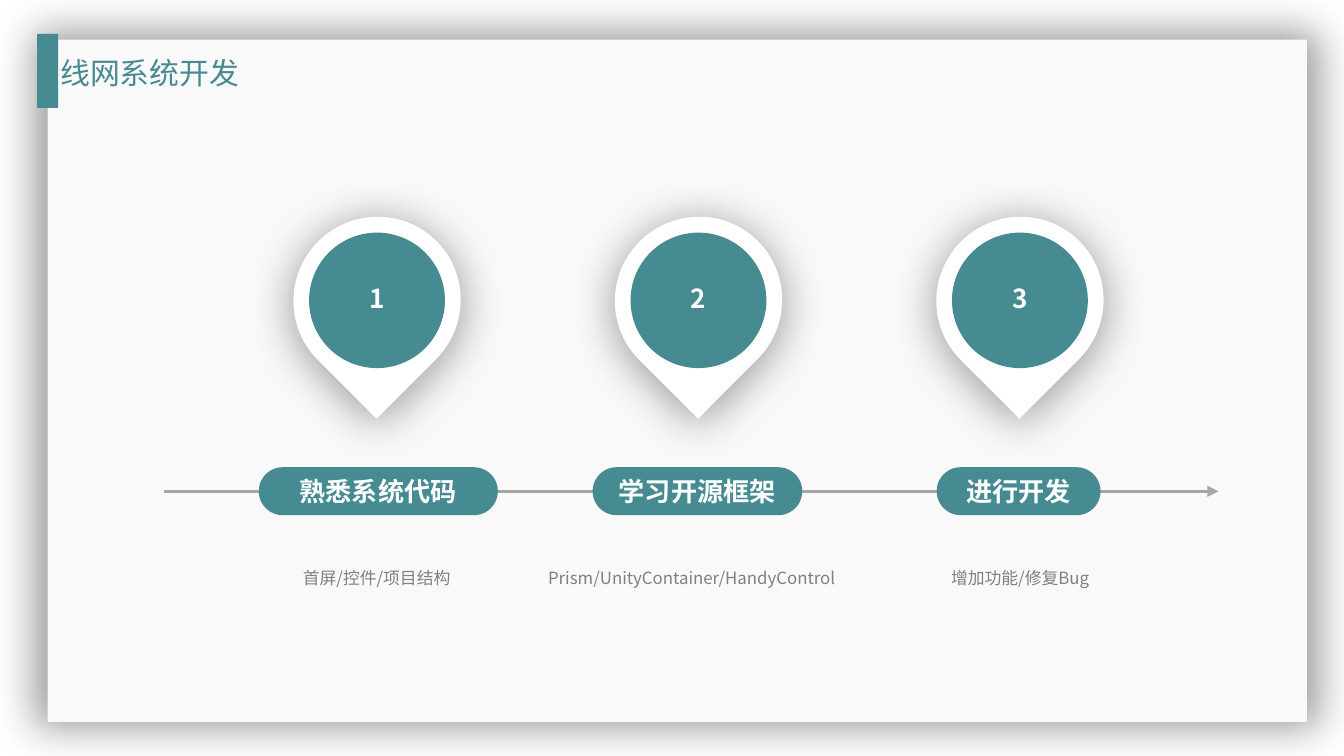
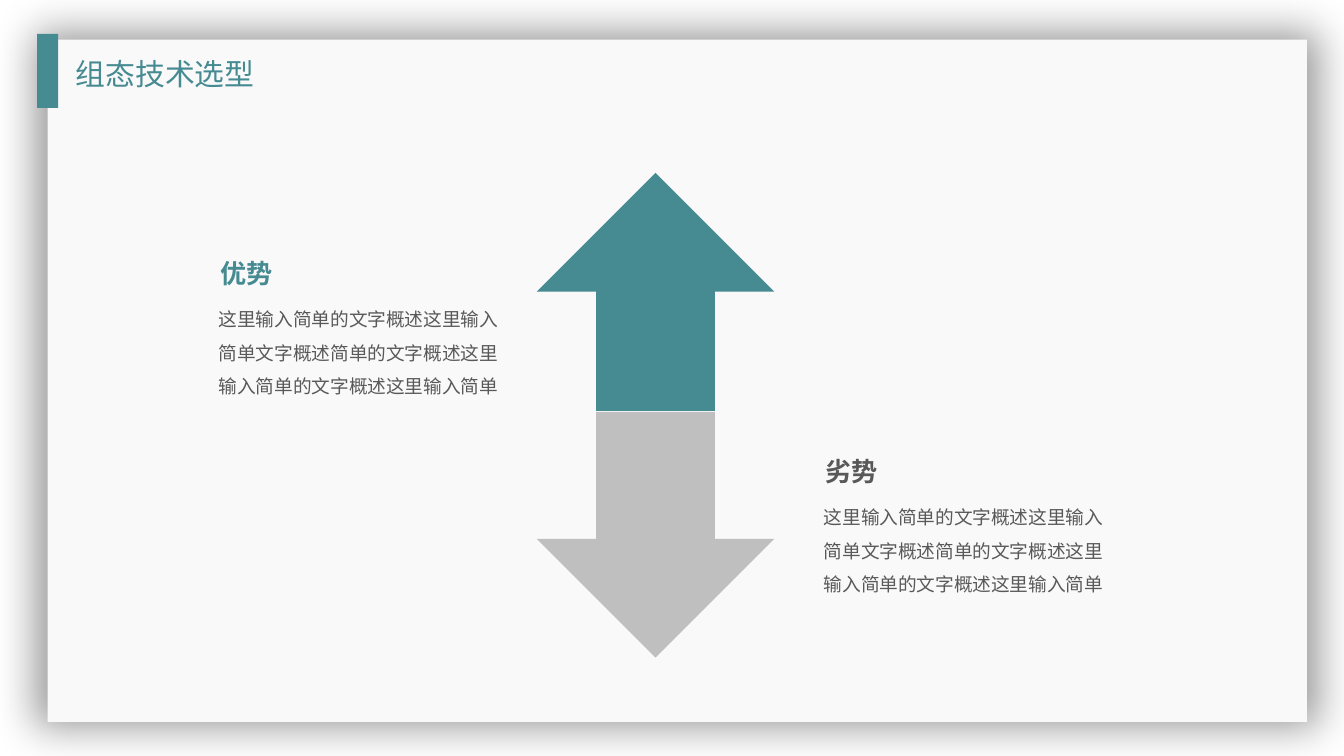
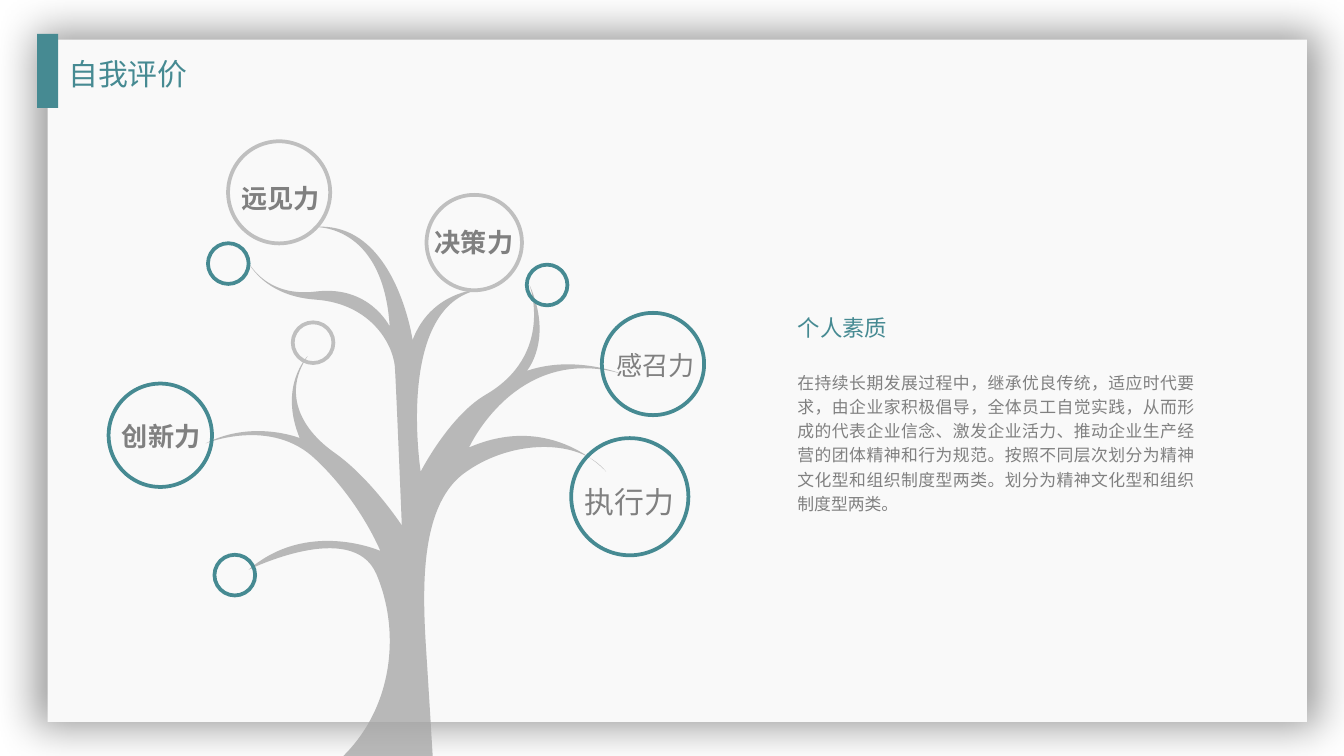
from dataclasses import dataclass
from typing import Optional, Union

from lxml.etree import SubElement
from pptx import Presentation
from pptx.dml.color import RGBColor
from pptx.enum.shapes import MSO_CONNECTOR, MSO_SHAPE
from pptx.enum.text import MSO_ANCHOR, MSO_AUTO_SIZE, PP_ALIGN
from pptx.oxml.ns import qn
from pptx.presentation import Presentation as Deck
from pptx.shapes.autoshape import Shape
from pptx.shapes.shapetree import GroupShapes, SlideShapes
from pptx.slide import Slide
from pptx.text.text import TextFrame
from pptx.util import Pt

Shapes = Union[SlideShapes, GroupShapes]

# Shared look
FONT = "Noto Sans CJK SC"
TEAL = RGBColor(0x46, 0x8A, 0x92)
CARD = RGBColor(0xF9, 0xF9, 0xF9)
WHITE = RGBColor(0xFF, 0xFF, 0xFF)
SILVER = RGBColor(0xBF, 0xBF, 0xBF)
BRANCH = RGBColor(0xA6, 0xA6, 0xA6)
GREY = RGBColor(0x80, 0x80, 0x80)
DARK = RGBColor(0x59, 0x59, 0x59)
NARROW = (5.4, 2.7)
WIDE = (7.2, 3.6)
TITLE_INSET = (6, 3)


@dataclass(frozen=True)
class Area:
    left: float
    top: float
    width: float
    height: float

    def lengths(self) -> tuple[Pt, Pt, Pt, Pt]:
        return Pt(self.left), Pt(self.top), Pt(self.width), Pt(self.height)


@dataclass(frozen=True)
class Style:
    size: float
    color: RGBColor
    bold: bool = False
    align: PP_ALIGN = PP_ALIGN.LEFT
    spacing: Optional[float] = None


@dataclass(frozen=True)
class Stage:
    name: str
    pill_left: float
    pill_width: float
    caption: str
    caption_left: float
    caption_width: float
    caption_align: PP_ALIGN = PP_ALIGN.CENTER


@dataclass(frozen=True)
class Side:
    heading: str
    color: RGBColor
    left: float
    top: float


@dataclass(frozen=True)
class Fruit:
    circle: Area
    line: RGBColor
    label: str
    label_left: float
    label_top: float
    size: float = 14
    bold: bool = True


@dataclass(frozen=True)
class Bud:
    left: float
    top: float
    line: RGBColor


PILL_TEXT = Style(14, WHITE, True, PP_ALIGN.CENTER)

STAGES = [
    Stage("熟悉系统代码", 138.6, 128.1, "首屏/控件/项目结构", 126.2, 151.2),
    Stage("学习开源框架", 317.5, 112.3, "Prism/UnityContainer/HandyControl",
          288.2, 172.1, PP_ALIGN.LEFT),
    Stage("进行开发", 501.8, 87.8, "增加功能/修复Bug", 490.3, 112.3),
]

SIDES = [Side("优势", TEAL, 111.8, 135.1), Side("劣势", DARK, 436, 241.2)]
SIDE_TEXT = "这里输入简单的文字概述这里输入简单文字概述简单的文字概述这里输入简单的文字概述这里输入简单"

QUALITY_TEXT = (
    "在持续长期发展过程中，继承优良传统，适应时代要求，由企业家积极倡导，全体员工自觉实践，"
    "从而形成的代表企业信念、激发企业活力、推动企业生产经营的团体精神和行为规范。"
    "按照不同层次划分为精神文化型和组织制度型两类。划分为精神文化型和组织制度型两类。"
)

FRUITS = [
    Fruit(Area(306, 234.7, 62.8, 62.8), TEAL, "执行力", 306.2, 255.6, 16, False),
    Fruit(Area(58.2, 205.5, 55.4, 55.4), TEAL, "创新力", 58.2, 221.8),
    Fruit(Area(322.4, 167.6, 54.8, 54.8), TEAL, "感召力", 323.1, 183.6, bold=False),
    Fruit(Area(228.5, 104.4, 51.1, 51.1), SILVER, "决策力", 225.8, 117.8),
    Fruit(Area(122.2, 75.7, 54.7, 54.7), SILVER, "远见力", 122.2, 94.3),
]

BUDS = [Bud(111.4, 130.3, TEAL), Bud(156.8, 172.7, SILVER),
        Bud(282.2, 141.8, TEAL), Bud(114.9, 297.2, TEAL)]

# Tree outline: start, then two control points and an end for each curve
TREE_UNIT = 0.72
TREE_START = (255, 563)
TREE_CURVES = [
    (322, 563, 322, 563, 322, 563), (322, 563, 320, 530, 317, 482),
    (314, 435, 313, 374, 347, 351), (381, 327, 431, 326, 451, 351),
    (451, 351, 411, 306, 349, 333), (349, 333, 384, 256, 462, 278),
    (462, 278, 427, 264, 392, 276), (392, 276, 412, 253, 394, 212),
    (394, 212, 413, 264, 361, 294), (334, 310, 313, 351, 313, 351),
    (313, 351, 293, 222, 361, 215), (361, 215, 322, 214, 307, 253),
    (307, 253, 294, 163, 233, 169), (233, 169, 285, 165, 290, 243),
    (290, 243, 275, 212, 235, 217), (194, 222, 182, 190, 182, 190),
    (182, 190, 192, 220, 235, 223), (277, 226, 294, 258, 294, 276),
    (295, 293, 299, 391, 299, 391), (299, 391, 276, 356, 249, 337),
    (222, 318, 211, 291, 229, 265), (229, 265, 207, 287, 223, 326),
    (223, 326, 188, 312, 153, 330), (153, 330, 202, 310, 235, 342),
    (268, 373, 283, 410, 283, 410), (283, 410, 229, 386, 185, 424),
    (185, 424, 262, 386, 280, 427), (298, 469, 293, 526, 255, 563),
]


def write(frame: TextFrame, text: str, style: Style, inset: tuple[float, float]) -> None:
    frame.margin_left = frame.margin_right = Pt(inset[0])
    frame.margin_top = frame.margin_bottom = Pt(inset[1])
    para = frame.paragraphs[0]
    para.alignment = style.align
    if style.spacing:
        para.line_spacing = style.spacing
    span = para.add_run()
    span.text = text
    font = span.font
    font.size, font.bold, font.name = Pt(style.size), style.bold, FONT
    font.color.rgb = style.color
    SubElement(span._r.get_or_add_rPr(), qn("a:ea")).set("typeface", FONT)


def add_text(shapes: Shapes, area: Area, text: str, style: Style,
             inset: tuple[float, float] = NARROW, wrap: bool = True) -> None:
    frame = shapes.add_textbox(*area.lengths()).text_frame
    frame.word_wrap = wrap
    frame.auto_size = MSO_AUTO_SIZE.SHAPE_TO_FIT_TEXT
    write(frame, text, style, inset)


def add_filled(shapes: Shapes, kind: MSO_SHAPE, area: Area, color: RGBColor) -> Shape:
    shape = shapes.add_shape(kind, *area.lengths())
    shape.shadow.inherit = False
    shape.fill.solid()
    shape.fill.fore_color.rgb = color
    shape.line.fill.background()
    return shape


def add_ring(shapes: Shapes, area: Area, color: RGBColor) -> None:
    ring = shapes.add_shape(MSO_SHAPE.OVAL, *area.lengths())
    ring.shadow.inherit = False
    ring.fill.background()
    ring.line.color.rgb = color
    ring.line.width = Pt(2)


def add_shadow(shape: Shape, blur: float, distance: float, degrees: int,
               percent: int = 100) -> None:
    effects = shape._element.spPr.find(qn("a:effectLst"))
    scale = str(percent * 1000)
    shadow = SubElement(effects, qn("a:outerShdw"), blurRad=str(Pt(blur)),
                        dist=str(Pt(distance)), dir=str(degrees * 60000),
                        sx=scale, sy=scale, algn="ctr", rotWithShape="0")
    color = SubElement(shadow, qn("a:srgbClr"), val="000000")
    SubElement(color, qn("a:alpha"), val="40000")


def add_page(deck: Deck) -> Slide:
    return deck.slides.add_slide(deck.slide_layouts[6])


def move_to_master(deck: Deck, shape: Shape) -> None:
    master_shapes = deck.slide_master.shapes
    next_id = max(item.shape_id for item in master_shapes) + 1
    shape._element.nvSpPr.cNvPr.set("id", str(next_id))
    master_shapes._spTree.append(shape._element)


def add_backdrop(deck: Deck, page: Slide) -> None:
    card = add_filled(page.shapes, MSO_SHAPE.RECTANGLE, Area(25.5, 21.2, 674.7, 365.6), CARD)
    add_shadow(card, 23, 0, 0, 102)
    tab = add_filled(page.shapes, MSO_SHAPE.RECTANGLE, Area(19.9, 18.2, 11.3, 39.6), TEAL)
    for shape in (card, tab):
        move_to_master(deck, shape)


def add_title(page: Slide, text: str, left: float, top: float = 27) -> None:
    add_text(page.shapes, Area(left, top, 144.7, 25.2), text,
             Style(16, TEAL, align=PP_ALIGN.JUSTIFY), TITLE_INSET)


def add_timeline(page: Slide) -> None:
    axis = page.shapes.add_connector(MSO_CONNECTOR.STRAIGHT,
                                     Pt(87.8), Pt(263.2), Pt(652.8), Pt(263.2))
    axis.line.color.rgb = BRANCH
    axis.line.width = Pt(1.5)
    SubElement(axis.line._get_or_add_ln(), qn("a:tailEnd"), type="triangle")
    SubElement(axis._element.spPr, qn("a:effectLst"))


def add_stage(page: Slide, number: int, stage: Stage) -> None:
    shapes = page.shapes
    center = 202 + 172.2 * (number - 1)
    # Map pin
    pin = add_filled(shapes, MSO_SHAPE.TEAR, Area(center - 45, 116.3, 90, 89.3), WHITE)
    pin.rotation = 135
    add_shadow(pin, 25, 3, 90)
    add_filled(shapes, MSO_SHAPE.OVAL, Area(center - 36.4, 124.6, 72.8, 72.6), TEAL)
    add_text(shapes, Area(center - 23.8, 148.6, 47.6, 22.3), str(number), PILL_TEXT)
    # Pill and caption
    pill = add_filled(shapes, MSO_SHAPE.ROUNDED_RECTANGLE,
                      Area(stage.pill_left, 250.3, stage.pill_width, 25.7), TEAL)
    pill.adjustments[0] = 0.5
    pill.text_frame.vertical_anchor = MSO_ANCHOR.MIDDLE
    write(pill.text_frame, stage.name, PILL_TEXT, NARROW)
    add_text(shapes, Area(stage.caption_left, 301.7, stage.caption_width, 16.6),
             stage.caption, Style(9, GREY, align=stage.caption_align))


def add_side(page: Slide, side: Side) -> None:
    add_text(page.shapes, Area(side.left, side.top + 21.1, 167, 59.8), SIDE_TEXT,
             Style(10, DARK, spacing=1.5))
    add_text(page.shapes, Area(side.left + 1, side.top, 119.5, 22.3), side.heading,
             Style(14, side.color, True))


def add_tree(page: Slide) -> None:
    corners = [pair for curve in TREE_CURVES for pair in zip(curve[::2], curve[1::2])]
    builder = page.shapes.build_freeform(*TREE_START, scale=Pt(TREE_UNIT))
    builder.add_line_segments(corners, close=True)
    tree = builder.convert_to_shape()
    tree.shadow.inherit = False
    tree.fill.solid()
    tree.fill.fore_color.rgb = BRANCH
    tree.line.fill.background()
    color = tree._element.spPr.find(qn("a:solidFill")).find(qn("a:srgbClr"))
    SubElement(color, qn("a:alpha"), val="78000")
    # Join every three straight steps into one curve
    steps = list(tree._element.iter(qn("a:lnTo")))
    for first, second, third in zip(steps[::3], steps[1::3], steps[2::3]):
        curve = SubElement(first.getparent(), qn("a:cubicBezTo"))
        first.addprevious(curve)
        for step in (first, second, third):
            curve.append(step[0])
            step.getparent().remove(step)


def add_fruit(page: Slide, fruit: Fruit) -> None:
    shapes = page.shapes.add_group_shape().shapes
    add_ring(shapes, fruit.circle, fruit.line)
    label = Area(fruit.label_left, fruit.label_top, fruit.size * 3 + 14.6, fruit.size + 10.4)
    add_text(shapes, label, fruit.label, Style(fruit.size, GREY, fruit.bold), WIDE, wrap=False)


def build_development(deck: Deck) -> None:
    page = add_page(deck)
    add_backdrop(deck, page)
    add_timeline(page)
    for number, stage in enumerate(STAGES, 1):
        add_stage(page, number, stage)
    add_title(page, "线网系统开发", 26.3, 26.2)


def build_selection(deck: Deck) -> None:
    page = add_page(deck)
    add_filled(page.shapes, MSO_SHAPE.DOWN_ARROW, Area(287.5, 220.7, 127.3, 131.6), SILVER)
    rise = add_filled(page.shapes, MSO_SHAPE.DOWN_ARROW, Area(287.5, 92.6, 127.3, 127.5), TEAL)
    rise.rotation = 180
    for side in SIDES:
        add_side(page, side)
    add_title(page, "组态技术选型", 34.6)


def build_evaluation(deck: Deck) -> None:
    page = add_page(deck)
    add_tree(page)
    add_text(page.shapes, Area(421.9, 165.6, 259.9, 20.2), "个人素质", Style(12, TEAL))
    add_text(page.shapes, Area(421.8, 194.7, 223.2, 95.8), QUALITY_TEXT,
             Style(9, GREY, align=PP_ALIGN.JUSTIFY, spacing=1.2))
    for fruit in FRUITS:
        add_fruit(page, fruit)
    for bud in BUDS:
        add_ring(page.shapes, Area(bud.left, bud.top, 21.8, 21.8), bud.line)
    add_title(page, "自我评价", 30.6)


def main() -> None:
    deck = Presentation()
    deck.slide_width, deck.slide_height = Pt(720), Pt(405)
    build_development(deck)
    build_selection(deck)
    build_evaluation(deck)
    deck.save("out.pptx")


if __name__ == "__main__":
    main()
